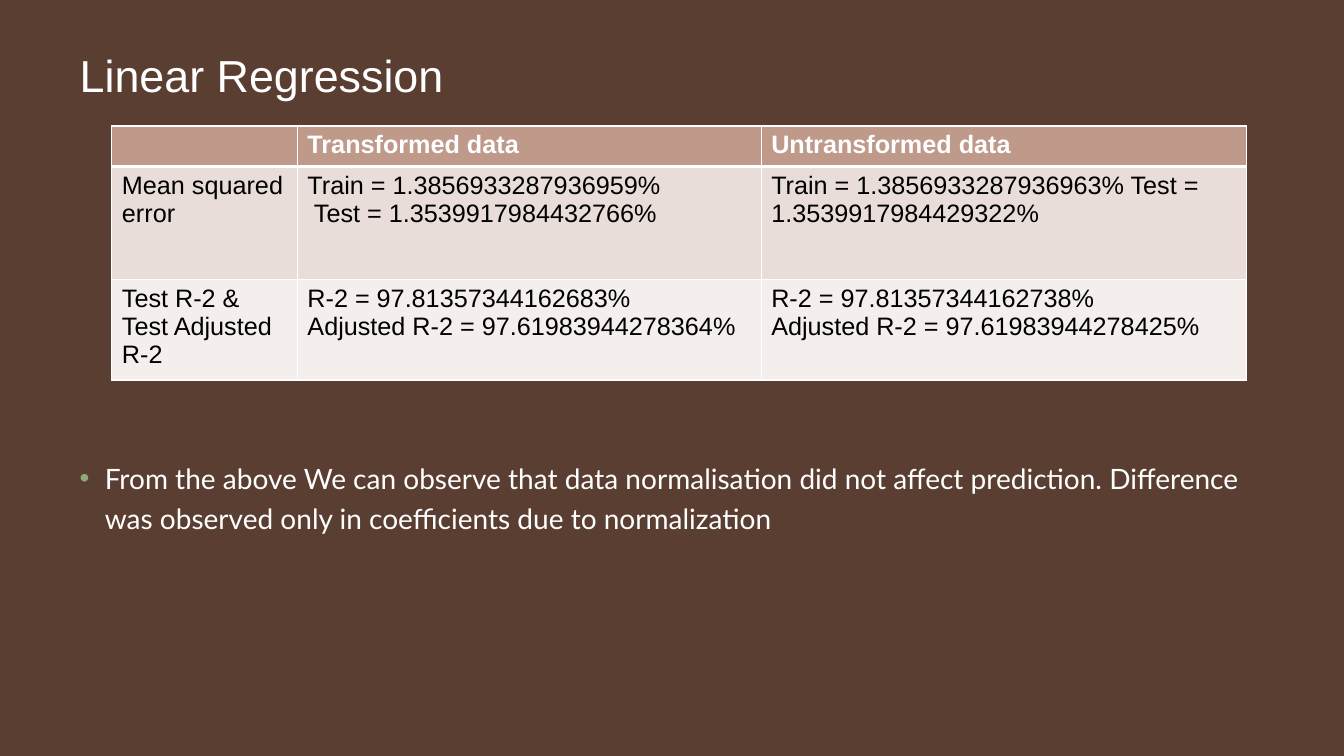
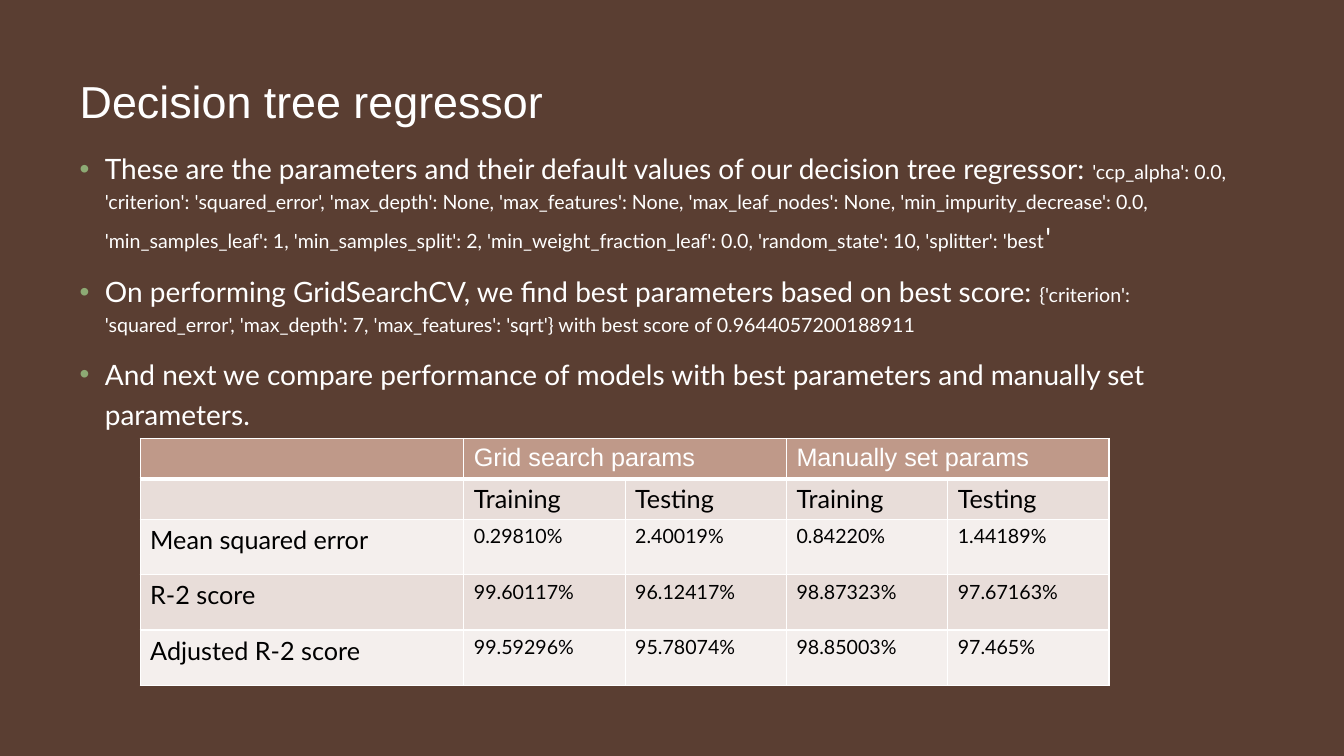
"""Build two slides that compare regression model scores."""
from lxml import etree
from pptx import Presentation
from pptx.dml.color import RGBColor
from pptx.enum.text import MSO_ANCHOR, PP_ALIGN
from pptx.oxml.ns import qn
from pptx.util import Inches, Pt

LEFT = PP_ALIGN.LEFT
TOP = MSO_ANCHOR.TOP
TITLE_ONLY = 5

COLORS = {
    "background": "5A3E32",
    "text": "FFFFFF",
    "bullet": "8DAA74",
    "header": "BF9989",
    "odd": "E8DDD9",
    "even": "F4EFED",
    "cell text": "000000",
    "border": "FFFFFF",
}
HEADING_FONT, BODY_FONT = "Arial", "Lato"
MARGIN, CONTENT_WIDTH = 0.79, 11.73
FRAME_FORMAT = {
    "word_wrap": True, "vertical_anchor": TOP,
    "margin_left": 0, "margin_top": 0, "margin_right": 0, "margin_bottom": 0,
}
TITLE_FORMAT = {"alignment": LEFT, "line_spacing": 1.1}
BULLET_FORMAT = {"alignment": LEFT, "line_spacing": 1.2, "space_before": Pt(10)}

SLIDES = [
    {
        "title": "Linear Regression",
        "title_box": (0.42, 0.57),
        "points_box": (4.51, 1.8),
        "points": [
            [("From the above We can observe that data normalisation did not affect "
              "prediction. Difference was observed only in coefficients due to "
              "normalization", 20)],
        ],
        "scores": {
            "corner": (1.11, 1.25),
            "columns": [1.84, 4.6, 4.81],
            "heights": [0.38, 1.12, 0.95],
            "header_bold": True,
            "font": HEADING_FONT,
            "value_size": 18,
            "header_spans": [],
            "rows": [
                ["", "Transformed data", "Untransformed data"],
                ["Mean squared error",
                 "Train = 1.3856933287936959%\n Test = 1.3539917984432766%",
                 "Train = 1.3856933287936963% Test = 1.3539917984429322%"],
                ["Test R-2 & Test Adjusted R-2",
                 "R-2 = 97.81357344162683%\nAdjusted R-2 = 97.61983944278364%",
                 "R-2 = 97.81357344162738%\nAdjusted R-2 = 97.61983944278425%"],
            ],
        },
    },
    {
        "title": "Decision tree regressor",
        "title_box": (0.68, 0.67),
        "points_box": (1.44, 2.9),
        "points": [
            [("These are the parameters and their default values of our decision tree "
              "regressor: ", 20),
             ("'ccp_alpha': 0.0, 'criterion': 'squared_error', 'max_depth': None, "
              "'max_features': None, 'max_leaf_nodes': None, "
              "'min_impurity_decrease': 0.0, 'min_samples_leaf': 1, "
              "'min_samples_split': 2, 'min_weight_fraction_leaf': 0.0, "
              "'random_state': 10, 'splitter': 'best", 14),
             ("'", 20)],
            [("On performing GridSearchCV, we find best parameters based on best "
              "score: ", 20),
             ("{'criterion': 'squared_error', 'max_depth': 7, 'max_features': 'sqrt'} "
              "with best score of 0.9644057200188911", 14)],
            [("And next we compare performance of models with best parameters and "
              "manually set parameters.", 20)],
        ],
        "scores": {
            "corner": (1.39, 4.35),
            "columns": [3.21] + [1.6] * 4,
            "heights": [0.39, 0.4] + [0.55] * 3,
            "header_bold": False,
            "font": BODY_FONT,
            "value_size": 14,
            "header_spans": [(1, 2), (3, 4)],
            "rows": [
                ["", "Grid search params", "", "Manually set params", ""],
                ["", "Training", "Testing", "Training", "Testing"],
                ["Mean squared error", "0.29810%", "2.40019%", "0.84220%", "1.44189%"],
                ["R-2 score", "99.60117%", "96.12417%", "98.87323%", "97.67163%"],
                ["Adjusted R-2 score", "99.59296%", "95.78074%", "98.85003%", "97.465%"],
            ],
        },
    },
]


def apply_format(target, values):
    for name, value in values.items():
        setattr(target, name, value)


def add_run(paragraph, text, size, font, color, bold=False):
    run = paragraph.add_run()
    run.text = text
    apply_format(run.font, {"size": Pt(size), "name": font, "bold": bold})
    run.font.color.rgb = RGBColor.from_string(COLORS[color])


def add_bullet(paragraph):
    properties = paragraph._p.get_or_add_pPr()
    properties.set("marL", str(Inches(0.25)))
    properties.set("indent", str(-Inches(0.25)))
    color = etree.SubElement(properties, qn("a:buClr"))
    etree.SubElement(color, qn("a:srgbClr"), val=COLORS["bullet"])
    etree.SubElement(properties, qn("a:buFont"), typeface=HEADING_FONT)
    etree.SubElement(properties, qn("a:buChar"), char="•")


def add_borders(cell, row):
    top, bottom = (3 if row == 1 else 1), (3 if row == 0 else 1)
    properties = cell._tc.get_or_add_tcPr()
    for side, width in (("L", 1), ("R", 1), ("T", top), ("B", bottom)):
        line = etree.SubElement(properties, qn(f"a:ln{side}"), w=str(Pt(width)))
        fill = etree.SubElement(line, qn("a:solidFill"))
        etree.SubElement(fill, qn("a:srgbClr"), val=COLORS["border"])


def set_title(slide, text, box):
    title = slide.shapes.title
    top, height = box
    apply_format(title, {"left": Inches(MARGIN), "top": Inches(top),
                         "width": Inches(CONTENT_WIDTH), "height": Inches(height)})
    apply_format(title.text_frame, FRAME_FORMAT)
    paragraph = title.text_frame.paragraphs[0]
    apply_format(paragraph, TITLE_FORMAT)
    add_run(paragraph, text, 32, HEADING_FONT, "text")


def add_points(slide, points, box):
    top, height = box
    frame = slide.shapes.add_textbox(Inches(MARGIN), Inches(top),
                                     Inches(CONTENT_WIDTH), Inches(height)).text_frame
    apply_format(frame, FRAME_FORMAT)
    for index, point in enumerate(points):
        paragraph = frame.add_paragraph() if index else frame.paragraphs[0]
        apply_format(paragraph, BULLET_FORMAT)
        add_bullet(paragraph)
        for text, size in point:
            add_run(paragraph, text, size, BODY_FONT, "text")


def fill_cell(cell, text, row, column, scores):
    add_borders(cell, row)
    band = "header" if row == 0 else ("odd" if row % 2 else "even")
    cell.fill.solid()
    cell.fill.fore_color.rgb = RGBColor.from_string(COLORS[band])
    if not text:
        return
    size = scores["value_size"] if row > 1 and column else 18
    font = scores["font"] if row else HEADING_FONT
    color = "cell text" if row else "text"
    bold = row == 0 and scores["header_bold"]
    for index, line in enumerate(text.split("\n")):
        frame = cell.text_frame
        paragraph = frame.add_paragraph() if index else frame.paragraphs[0]
        add_run(paragraph, line, size, font, color, bold)


def add_scores(slide, scores):
    rows, columns, heights = scores["rows"], scores["columns"], scores["heights"]
    left, top = scores["corner"]
    table = slide.shapes.add_table(len(rows), len(columns), Inches(left), Inches(top),
                                   Inches(sum(columns)), Inches(sum(heights))).table
    for column, width in zip(table.columns, columns):
        column.width = Inches(width)
    for row, height in zip(table.rows, heights):
        row.height = Inches(height)
    for row, texts in enumerate(rows):
        for column, text in enumerate(texts):
            fill_cell(table.cell(row, column), text, row, column, scores)
    for first, last in scores["header_spans"]:
        table.cell(0, first).merge(table.cell(0, last))


def main():
    deck = Presentation()
    apply_format(deck, {"slide_width": Inches(13.33), "slide_height": Inches(7.5)})
    background = deck.slide_master.background.fill
    background.solid()
    background.fore_color.rgb = RGBColor.from_string(COLORS["background"])
    for content in SLIDES:
        slide = deck.slides.add_slide(deck.slide_layouts[TITLE_ONLY])
        set_title(slide, content["title"], content["title_box"])
        add_points(slide, content["points"], content["points_box"])
        add_scores(slide, content["scores"])
    deck.save("out.pptx")


if __name__ == "__main__":
    main()
